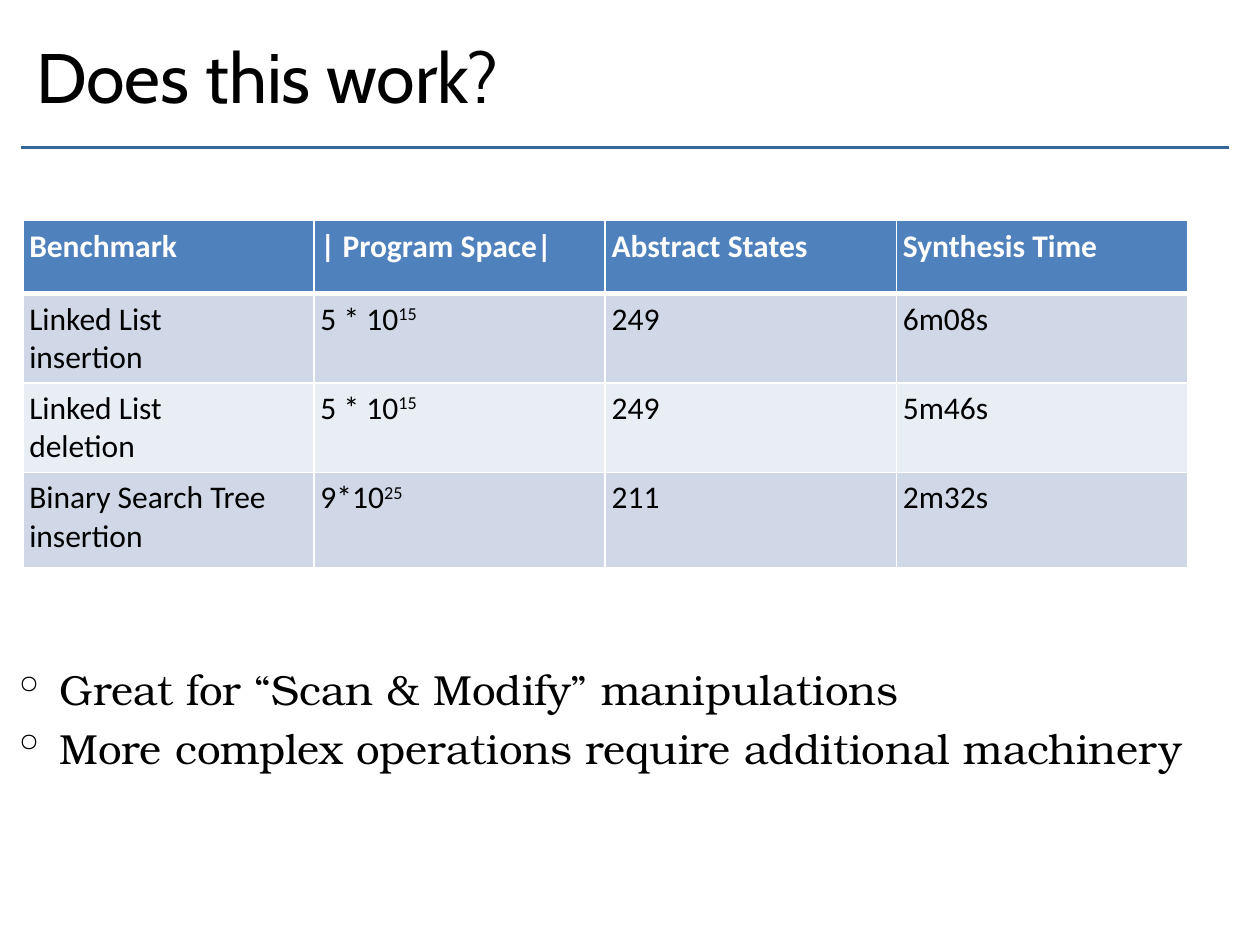
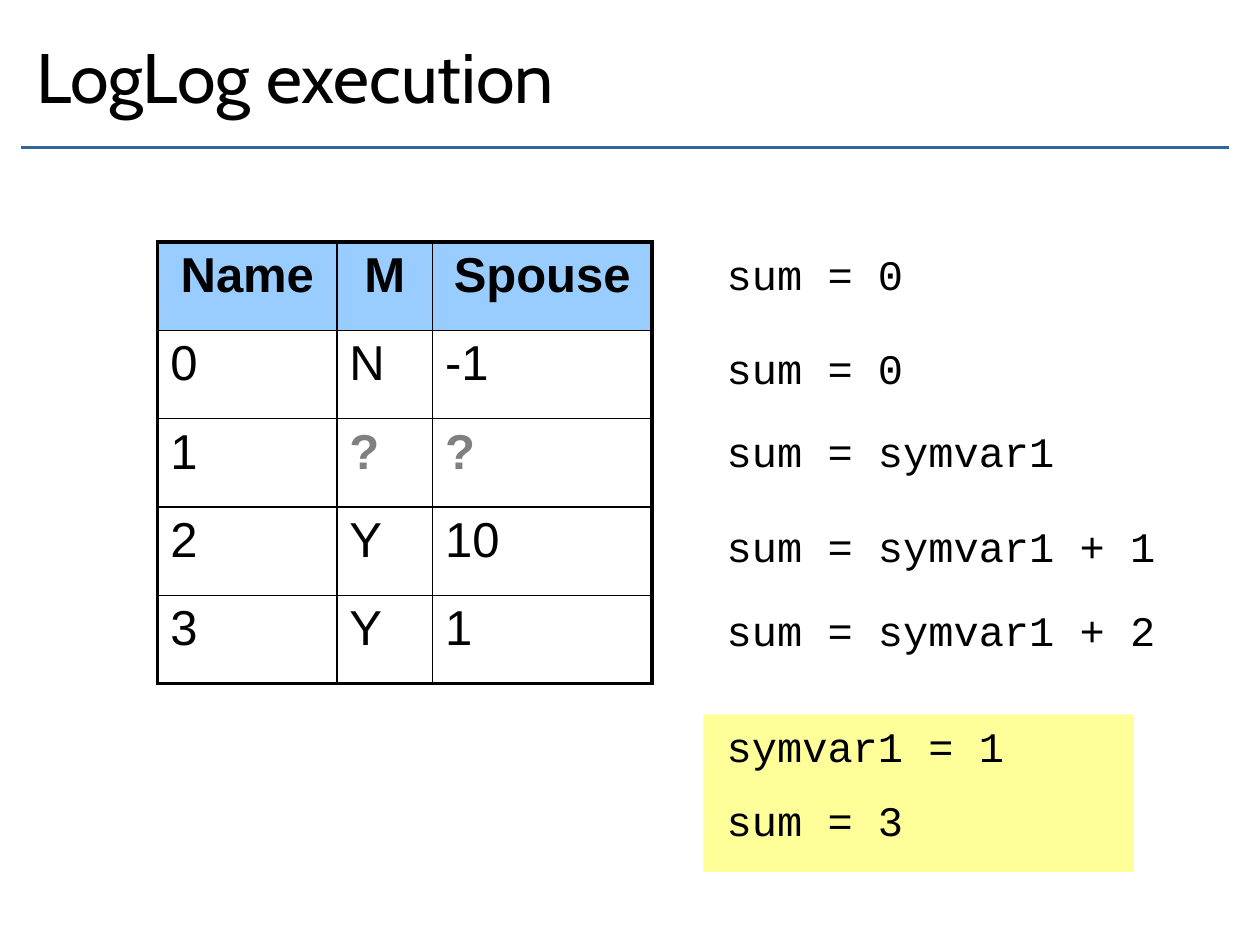
import pptx
import pptx.dml.color
import pptx.enum.shapes
import pptx.enum.text
import pptx.oxml.ns
import pptx.util
from lxml import etree

Cm, Pt, qn = pptx.util.Cm, pptx.util.Pt, pptx.oxml.ns.qn
ALIGN = pptx.enum.text.PP_ALIGN
ANCHOR = pptx.enum.text.MSO_ANCHOR

# Content: "^" starts a superscript, a line break starts a paragraph
BENCHMARKS = [
    ["Benchmark", "| Program Space|", "Abstract States", "Synthesis Time"],
    ["Linked List\ninsertion", "5 * 10^15", "249", "6m08s"],
    ["Linked List\ndeletion", "5 * 10^15", "249", "5m46s"],
    ["Binary Search Tree insertion", "9*10^25", "211", "2m32s"],
]
REMARKS = [
    "Great for “Scan & Modify” manipulations",
    "More complex operations require additional machinery",
]
PEOPLE = [
    ["Name", "M", "Spouse"],
    ["0", "N", "-1"],
    ["1", "?", "?"],
    ["2", "Y", "10"],
    ["3", "Y", "1"],
]
# Top in cm and the state after each row
STATES = [
    (4.88, "sum = 0"),
    (6.78, "sum = 0"),
    (8.46, "sum = symvar1"),
    (10.36, "sum = symvar1 + 1"),
    (12.07, "sum = symvar1 + 2"),
]
SOLUTION = ["symvar1 = 1", "sum = 3"]

# Shared style
BLACK, WHITE, GREY, RULE = "000000", "FFFFFF", "808080", "336699"
TITLE_FONT, BODY_FONT, CODE_FONT = "Cabin", "TeX Gyre Bonum", "Courier New"


def color(value):
    return pptx.dml.color.RGBColor.from_string(value)


def add_run(p, text, font, size, fill=BLACK, bold=False):
    r = p.add_run()
    r.text = text
    r.font.name, r.font.size, r.font.bold = font, Pt(size), bold
    r.font.color.rgb = color(fill)
    return r


def paragraphs(tf, count, gap=0):
    for i in range(count):
        p = tf.add_paragraph() if i else tf.paragraphs[0]
        if i and gap:
            p.space_before = Pt(gap)
        yield p


def add_text(s, lines, left, top, width, height, font, size, gap=0, anchor=ANCHOR.TOP):
    tf = s.shapes.add_textbox(Cm(left), Cm(top), Cm(width), Cm(height)).text_frame
    tf.word_wrap = True
    tf.vertical_anchor = anchor
    for p, line in zip(paragraphs(tf, len(lines), gap), lines):
        add_run(p, line, font, size)
    return tf


def add_bullet(p, indent):
    pPr = p._p.get_or_add_pPr()
    pPr.set("marL", str(Cm(indent)))
    pPr.set("indent", str(-Cm(indent)))
    etree.SubElement(pPr, qn("a:buChar")).set("char", "◦")


def add_slide(prs, title):
    s = prs.slides.add_slide(prs.slide_layouts[6])
    rule = s.shapes.add_connector(
        pptx.enum.shapes.MSO_CONNECTOR.STRAIGHT, Cm(0.43), Cm(2.97), Cm(24.77), Cm(2.97))
    rule.line.color.rgb = color(RULE)
    rule.line.width = Pt(2)
    etree.SubElement(rule._element.spPr, qn("a:effectLst"))
    add_text(s, [title], 0.48, 0, 22.86, 3.05, TITLE_FONT, 40, anchor=ANCHOR.MIDDLE)
    return s


def set_borders(cell, line_color, widths):
    """Widths in points for left, right, top and bottom."""
    tcPr = cell._tc.get_or_add_tcPr()
    for side, width in zip("LRTB", widths):
        ln = etree.SubElement(tcPr, qn("a:ln" + side), w=str(Pt(width)))
        fill = etree.SubElement(ln, qn("a:solidFill"))
        etree.SubElement(fill, qn("a:srgbClr"), val=line_color)


def add_grid(s, rows, left, top, widths, heights, style):
    """Add a table; style(row, column, text) gives the looks of a cell."""
    table = s.shapes.add_table(
        len(rows), len(widths), Cm(left), Cm(top),
        Cm(sum(widths)), Cm(sum(heights))).table
    table.horz_banding = False
    for column, width in zip(table.columns, widths):
        column.width = Cm(width)
    for row, height in zip(table.rows, heights):
        row.height = Cm(height)
    for i, row in enumerate(rows):
        for j, text in enumerate(row):
            cell, look = table.cell(i, j), style(i, j, text)
            set_borders(cell, look["line"], look["borders"])
            if look["fill"]:
                cell.fill.solid()
                cell.fill.fore_color.rgb = color(look["fill"])
            else:
                cell.fill.background()
            if "inset" in look:
                cell.margin_left = cell.margin_right = Cm(look["inset"])
                cell.margin_top = cell.margin_bottom = Cm(look["inset"])
            lines = text.split("\n")
            for p, line in zip(paragraphs(cell.text_frame, len(lines)), lines):
                p.alignment = look.get("align", ALIGN.LEFT)
                base, _, power = line.partition("^")
                add_run(p, base, *look["font"])
                if power:
                    r = add_run(p, power, *look["font"])
                    r.font._element.set("baseline", "30000")


def benchmark_style(i, j, text):
    header = i == 0
    return {
        "fill": "4F81BD" if header else ("E9EDF4", "D0D8E8")[i % 2],
        "line": WHITE,
        "borders": (1, 1, 3 if i == 1 else 1, 3 if header else 1),
        "inset": 0.13,
        "font": ("Calibri", 18, WHITE if header else BLACK, header),
    }


def people_style(i, j, text):
    header, unknown = i == 0, text == "?"
    last_row, last_column = len(PEOPLE) - 1, len(PEOPLE[0]) - 1
    edges = (j == 0, j == last_column, i == 0, i == last_row)
    return {
        "fill": "99CCFF" if header else None,
        "line": BLACK,
        "borders": [2.25 if edge else 1 for edge in edges],
        "align": ALIGN.CENTER if header else ALIGN.LEFT,
        "font": ("Arial", 28, GREY if unknown else BLACK, header or unknown),
    }


def benchmark_slide(prs):
    s = add_slide(prs, "Does this work?")
    add_grid(s, BENCHMARKS, 0.46, 4.45, [5.87] * 4, [1.47, 1.8, 1.8, 1.92],
             benchmark_style)
    tf = add_text(s, REMARKS, 0, 13.26, 25.4, 3.7, BODY_FONT, 24, gap=4.8)
    for p in tf.paragraphs:
        add_bullet(p, 0.95)


def execution_slide(prs):
    s = add_slide(prs, "LogLog execution")
    add_grid(s, PEOPLE, 3.18, 4.88, [3.61, 1.93, 4.42], [1.78] * len(PEOPLE),
             people_style)
    # State beside each table row
    for top, state in STATES:
        add_text(s, [state], 14.4, top, 9.32, 1.27, CODE_FONT, 24)
    # Highlighted solution
    sp = s.shapes.add_shape(pptx.enum.shapes.MSO_SHAPE.RECTANGLE,
                            Cm(14.18), Cm(14.4), Cm(8.68), Cm(3.18))
    sp.shadow.inherit = False
    sp.fill.solid()
    sp.fill.fore_color.rgb = color("FFFF99")
    sp.line.fill.background()
    add_text(s, SOLUTION, 14.4, 14.4, 9.32, 2.82, CODE_FONT, 24, gap=13.5)


def main():
    prs = pptx.Presentation()
    prs.slide_width, prs.slide_height = Cm(25.4), Cm(19.05)
    benchmark_slide(prs)
    execution_slide(prs)
    prs.save("out.pptx")


if __name__ == "__main__":
    main()
